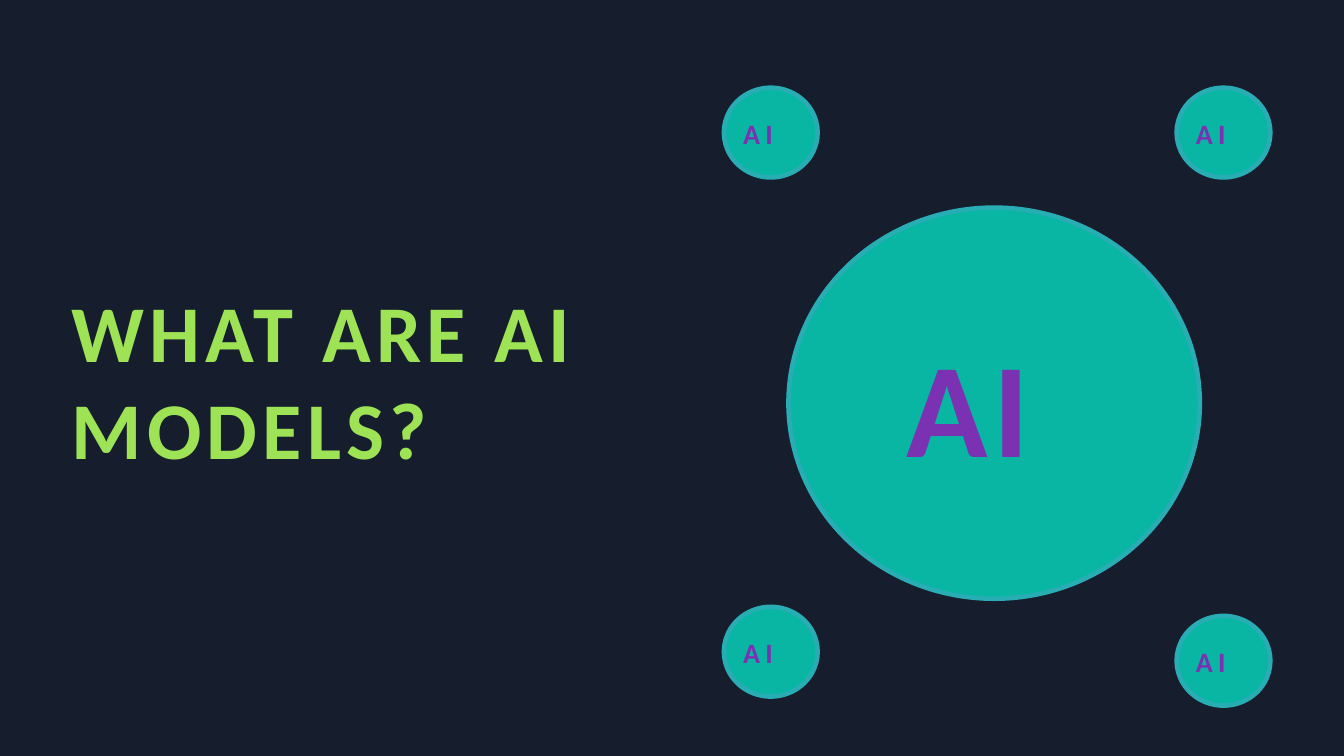
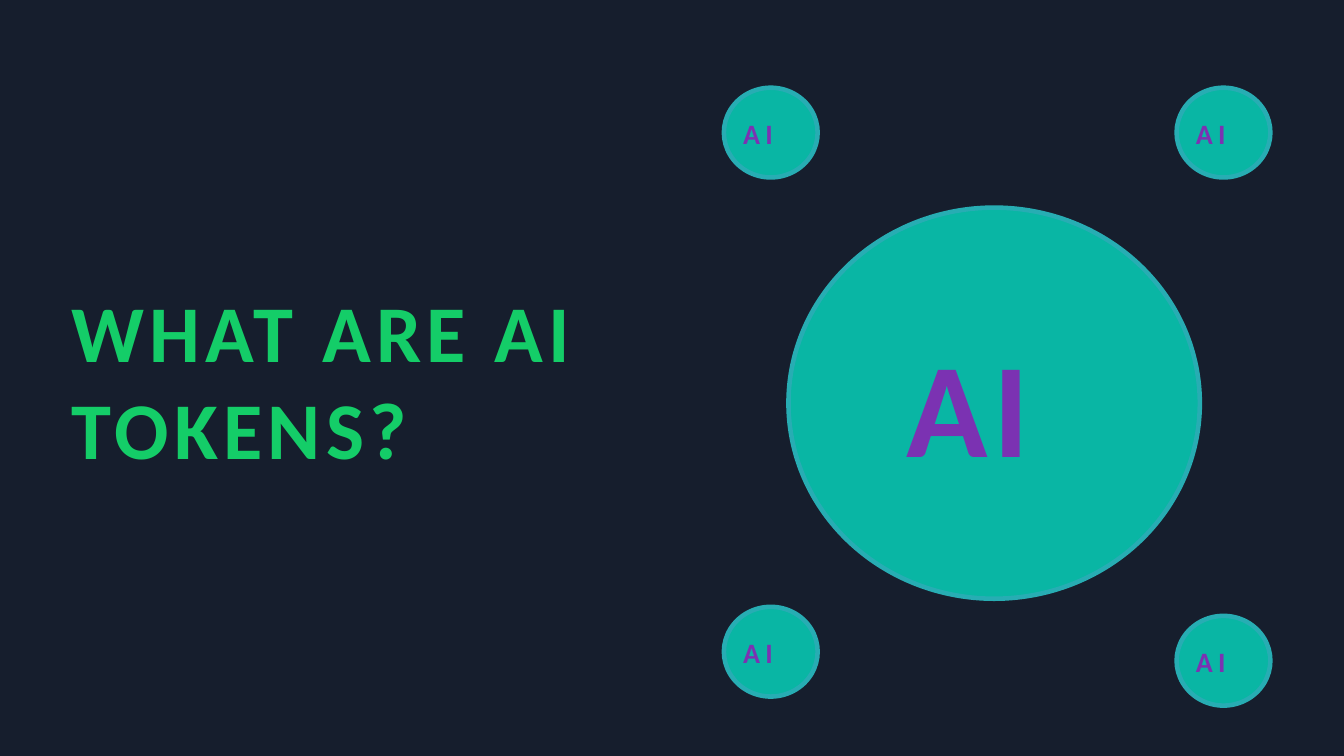
from pptx import Presentation
from pptx import util as u
from pptx.dml.color import RGBColor
from pptx.enum import shapes, text

COLORS = {
    "background": "161E2D",
    "circle": "09B6A4",
    "circle_edge": "27ADB3",
    "label": ("7B32B2", "401A5D"),
    "lime": ("9EE256", "52762D"),
    "green": ("14CD68", "035C7D"),
}
FONT = "Calibri"
TITLES = [("WHAT ARE AI MODELS?", "lime"), ("WHAT ARE AI TOKENS?", "green")]

# Each circle: left, top, width, height, label width, label height, label size
SMALL = (0.93, 0.89, 0.55, 0.34, 20)
LEFT, RIGHT, TOP = 7.18, 11.67, 0.87
CIRCLES = [
    (7.82, 2.06, 4.08, 3.88, 1.73, 1.62, 96),
    (LEFT, TOP, *SMALL),
    (RIGHT, TOP, *SMALL),
    (LEFT, 6.02, *SMALL),
    (RIGHT, 6.11, *SMALL),
]


def write_heading(shape, words, size, colors):
    """Bold, letter-spaced, left-aligned text with a gradient fill."""
    frame = shape.text_frame
    frame.text = words
    frame.word_wrap = True
    frame.auto_size = text.MSO_AUTO_SIZE.SHAPE_TO_FIT_TEXT
    frame.vertical_anchor = text.MSO_ANCHOR.MIDDLE
    frame.margin_left = frame.margin_right = frame.margin_bottom = 0
    frame.margin_top = u.Inches(0.01)
    paragraph = frame.paragraphs[0]
    paragraph.alignment = text.PP_ALIGN.LEFT
    run = paragraph.runs[0]
    run.font.name = FONT
    run.font.size = u.Pt(size)
    run.font.bold = True
    run.font.fill.gradient()
    run.font.fill.gradient_angle = 0
    for stop, color in zip(run.font.fill.gradient_stops, colors):
        stop.color.rgb = RGBColor.from_string(color)
    run._r.get_or_add_rPr().set("spc", "380")


presentation = Presentation()
presentation.slide_width = u.Inches(13.33)
presentation.slide_height = u.Inches(7.5)

# Shared background
background = presentation.slide_master.background.fill
background.solid()
background.fore_color.rgb = RGBColor.from_string(COLORS["background"])

# Shared title position
title_only = presentation.slide_layouts[5]
layout_title = title_only.placeholders[0]
layout_title.left, layout_title.top = u.Inches(0.71), u.Inches(2.78)
layout_title.width, layout_title.height = u.Inches(6.04), u.Inches(1.95)

for words, title_color in TITLES:
    slide = presentation.slides.add_slide(title_only)
    write_heading(slide.shapes.title, words, 57.5, COLORS[title_color])

    # Labelled circles, each label centred in its circle
    for left, top, width, height, label_width, label_height, size in CIRCLES:
        circle = slide.shapes.add_shape(
            shapes.MSO_SHAPE.OVAL, u.Inches(left), u.Inches(top),
            u.Inches(width), u.Inches(height))
        circle.shadow.inherit = False
        circle.fill.solid()
        circle.fill.fore_color.rgb = RGBColor.from_string(COLORS["circle"])
        circle.line.color.rgb = RGBColor.from_string(COLORS["circle_edge"])
        circle.line.width = u.Pt(3.25)

        label = slide.shapes.add_textbox(
            u.Inches(left + (width - label_width) / 2),
            u.Inches(top + (height - label_height) / 2),
            u.Inches(label_width), u.Inches(label_height))
        write_heading(label, "AI", size, COLORS["label"])

presentation.save("out.pptx")
